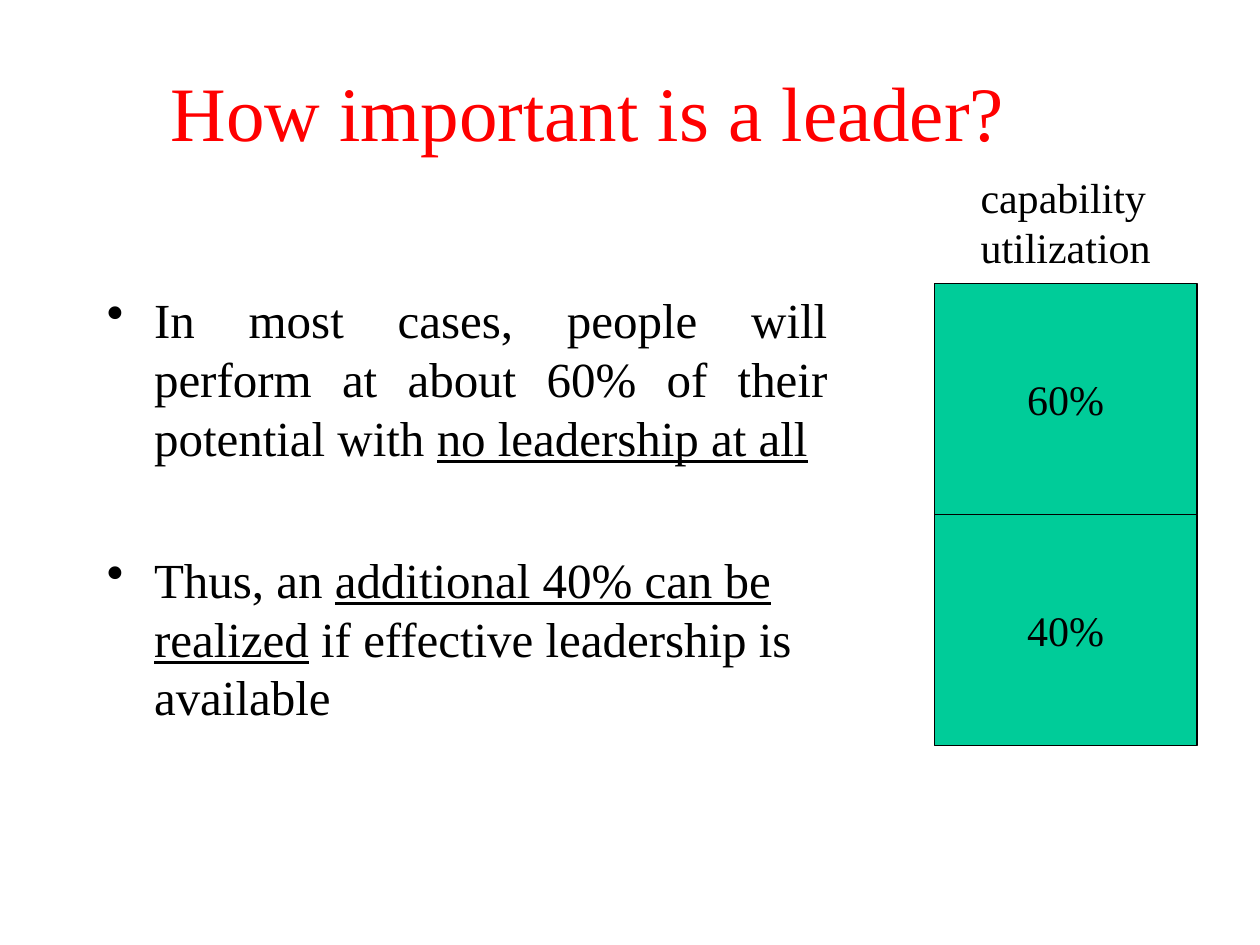
from pptx import Presentation
from pptx.dml.color import RGBColor as RGB
from pptx.enum.shapes import MSO_SHAPE as Shape
from pptx.enum.text import MSO_ANCHOR as Anchor, MSO_AUTO_SIZE as Auto, PP_ALIGN as Align
from pptx.oxml.xmlchemy import OxmlElement as Node
from pptx.util import Inches, Pt

HUE = {"title": "FF0000", "text": "000000", "bar": "00CC99"}
FACE = "Times New Roman"
UNIT = Inches(1) / 12  # one column or row of the grid


def grid(*cells):
    return [round(n * UNIT) for n in cells]


def style(par, size, hue="text", align=Align.LEFT):
    par.alignment = align
    for run in par.runs:
        run.font.name = FACE
        run.font.size = Pt(size)
        run.font.color.rgb = RGB.from_string(HUE[hue])


deck = Presentation()
deck.slide_width, deck.slide_height = grid(120, 90)
slide = deck.slides.add_slide(deck.slide_layouts[6])
shapes = slide.shapes

# Title
frame = shapes.add_textbox(*grid(5, 3, 102, 15)).text_frame
frame.word_wrap = True
frame.vertical_anchor = Anchor.MIDDLE
frame.text = "How important is a leader?"
style(frame.paragraphs[0], 44, "title", Align.CENTER)

# Bullets: alignment, space before, then (words, underlined) parts
points = [
    (Align.JUSTIFY, 0, [
        ("In most cases, people will perform at about 60% of their potential with ", False),
        ("no leadership at all", True)]),
    (Align.LEFT, 47.5, [
        ("Thus, an ", False),
        ("additional 40% can be realized", True),
        (" if effective leadership is available", False)]),
]
frame = shapes.add_textbox(*grid(9, 27, 71, 54)).text_frame
frame.word_wrap = True
hang = grid(4.5)[0]
for i, (align, gap, parts) in enumerate(points):
    par = frame.add_paragraph() if i else frame.paragraphs[0]
    par.space_before = Pt(gap)
    props = par._p.get_or_add_pPr()
    props.set("marL", str(hang))
    props.set("indent", str(-hang))
    dot = Node("a:buChar")
    dot.set("char", "•")
    props.append(dot)
    for words, under in parts:
        run = par.add_run()
        run.text = words
        run.font.underline = under
    style(par, 28, align=align)

# Stacked bar
left, top, wide, high = 89, 27, 25, 22
for i, share in enumerate(["60%", "40%"]):
    box = shapes.add_shape(Shape.RECTANGLE, *grid(left, top + i * high, wide, high))
    box.shadow.inherit = False
    box.fill.solid()
    box.fill.fore_color.rgb = RGB.from_string(HUE["bar"])
    box.line.color.rgb = RGB.from_string(HUE["text"])
    box.line.width = Pt(0.75)
    frame = box.text_frame
    frame.word_wrap = False
    frame.vertical_anchor = Anchor.MIDDLE
    frame.text = share
    style(frame.paragraphs[0], 24, align=Align.CENTER)

# Label centred above the bar
span = 18.6
frame = shapes.add_textbox(*grid(left + (wide - span) / 2, 15.75, span, 10.8)).text_frame
frame.word_wrap = False
frame.auto_size = Auto.SHAPE_TO_FIT_TEXT
frame.text = "capability\nutilization"
for par in frame.paragraphs:
    style(par, 24)

deck.save("out.pptx")
